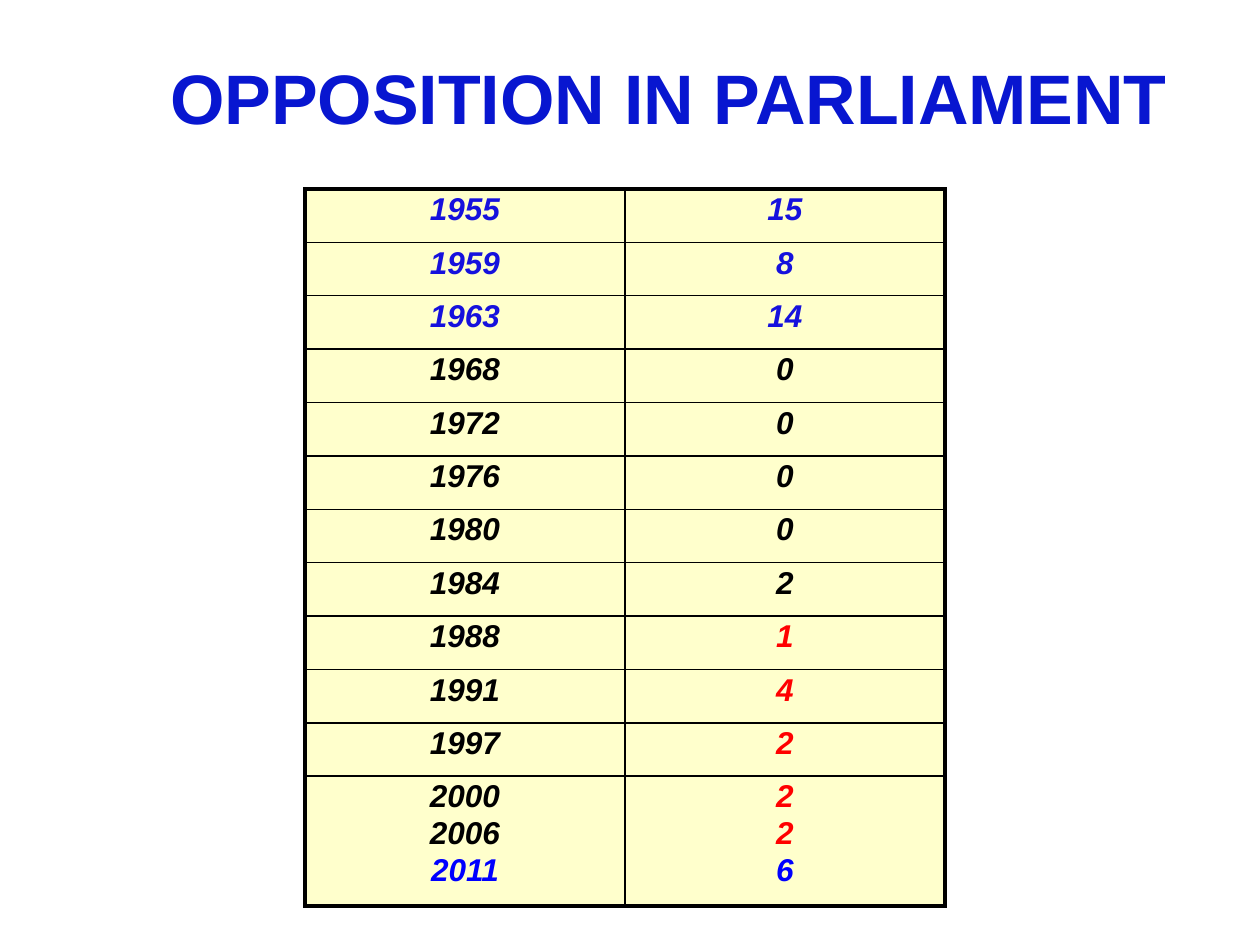
"""Build the slide on opposition seats in parliament."""
from lxml.etree import SubElement
from pptx import Presentation
from pptx.dml.color import RGBColor as Color
from pptx.enum.text import MSO_ANCHOR as Anchor, MSO_AUTO_SIZE as Fit, PP_ALIGN as Align
from pptx.oxml.ns import qn
from pptx.util import Inches, Pt

HUES = {"title": "0816D0", "early": "1611DD", "dark": "000000",
        "red": "FF0000", "blue": "0000FF", "cream": "FFFFCC"}
ROWS = [
    [("1955", "early", "15", "early")],
    [("1959", "early", "8", "early")],
    [("1963", "early", "14", "early")],
    [("1968", "dark", "0", "dark")],
    [("1972", "dark", "0", "dark")],
    [("1976", "dark", "0", "dark")],
    [("1980", "dark", "0", "dark")],
    [("1984", "dark", "2", "dark")],
    [("1988", "dark", "1", "red")],
    [("1991", "dark", "4", "red")],
    [("1997", "dark", "2", "red")],
    [("2000", "dark", "2", "red"), ("2006", "dark", "2", "red"),
     ("2011", "blue", "6", "blue")],
]


def apply(item, style):
    for name, value in style.items():
        setattr(item, name, value)


class Deck:
    def __init__(self):
        self.prs = Presentation()
        apply(self.prs, {"slide_width": Inches(10), "slide_height": Inches(7.5)})
        self.slide = self.prs.slides.add_slide(self.prs.slide_layouts[5])
        self.head = {"name": "Arial", "size": Pt(40), "bold": True}
        self.body = {"name": "Arial", "size": Pt(18), "bold": True, "italic": True}

    def label(self, para, text, hue, font):
        run = para.add_run()
        run.text = text
        apply(run.font, font)
        run.font.color.rgb = Color.from_string(HUES[hue])

    def title(self, text, left, top, width, height):
        shape = self.slide.shapes.title
        apply(shape, {"left": Inches(left), "top": Inches(top),
                      "width": Inches(width), "height": Inches(height)})
        frame = shape.text_frame
        apply(frame, {"auto_size": Fit.NONE, "word_wrap": True,
                      "vertical_anchor": Anchor.TOP, "margin_top": Inches(0.1)})
        para = frame.paragraphs[0]
        para.alignment = Align.LEFT
        self.label(para, text, "title", self.head)

    def edge(self, cell, side, width):
        line = SubElement(cell._tc.get_or_add_tcPr(), qn("a:" + side), w=str(Pt(width)))
        fill = SubElement(line, qn("a:solidFill"))
        SubElement(fill, qn("a:srgbClr"), val=HUES["dark"])

    def cell(self, cell, lines, thick):
        for side in ("lnL", "lnR", "lnT", "lnB"):
            self.edge(cell, side, 2.25 if side in thick else 1)
        cell.fill.solid()
        cell.fill.fore_color.rgb = Color.from_string(HUES["cream"])
        frame = cell.text_frame
        for at, (text, hue) in enumerate(lines):
            para = frame.add_paragraph() if at else frame.paragraphs[0]
            apply(para, {"alignment": Align.CENTER, "line_spacing": 0.9,
                         "space_before": Pt(3 if at else 0)})
            self.label(para, text, hue, self.body)

    def table(self, rows, left, top, width, height, foot):
        last = len(rows) - 1
        grid = self.slide.shapes.add_table(
            len(rows), 2, Inches(left), Inches(top), Inches(width), Inches(height)).table
        apply(grid, {"first_row": False, "horz_banding": False})
        for at, row in enumerate(rows):
            grid.rows[at].height = Inches(foot if at == last else (height - foot) / last)
            ends = {0: {"lnT"}, last: {"lnB"}}.get(at, set())
            for col, side in enumerate(("lnL", "lnR")):
                lines = [line[2 * col:2 * col + 2] for line in row]
                self.cell(grid.cell(at, col), lines, ends | {side})


deck = Deck()
deck.table(ROWS, 2.42, 1.5, 5.08, 5.69, 1.03)
deck.title("OPPOSITION IN PARLIAMENT", 1.25, 0.33, 9, 0.77)
deck.prs.save("out.pptx")
